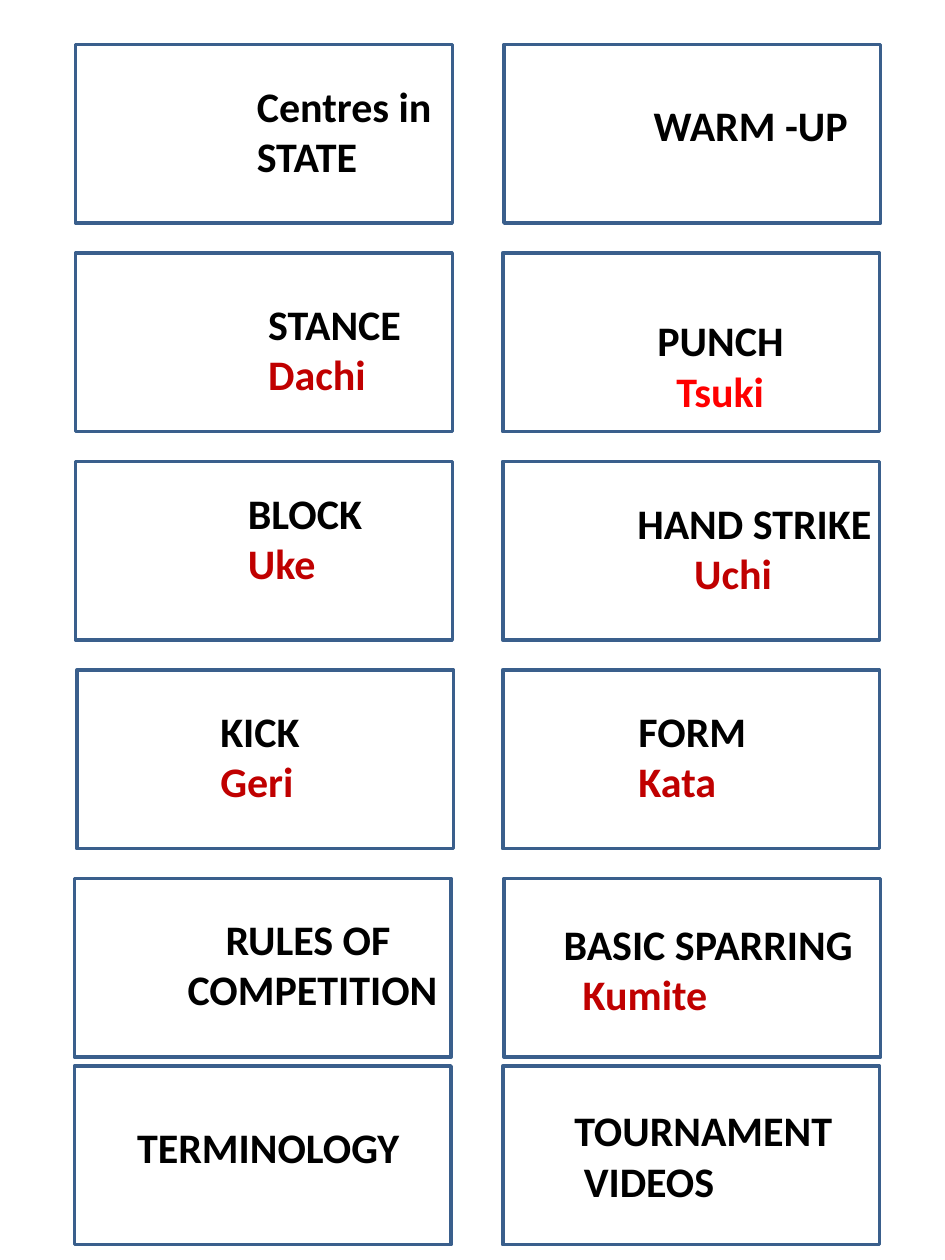
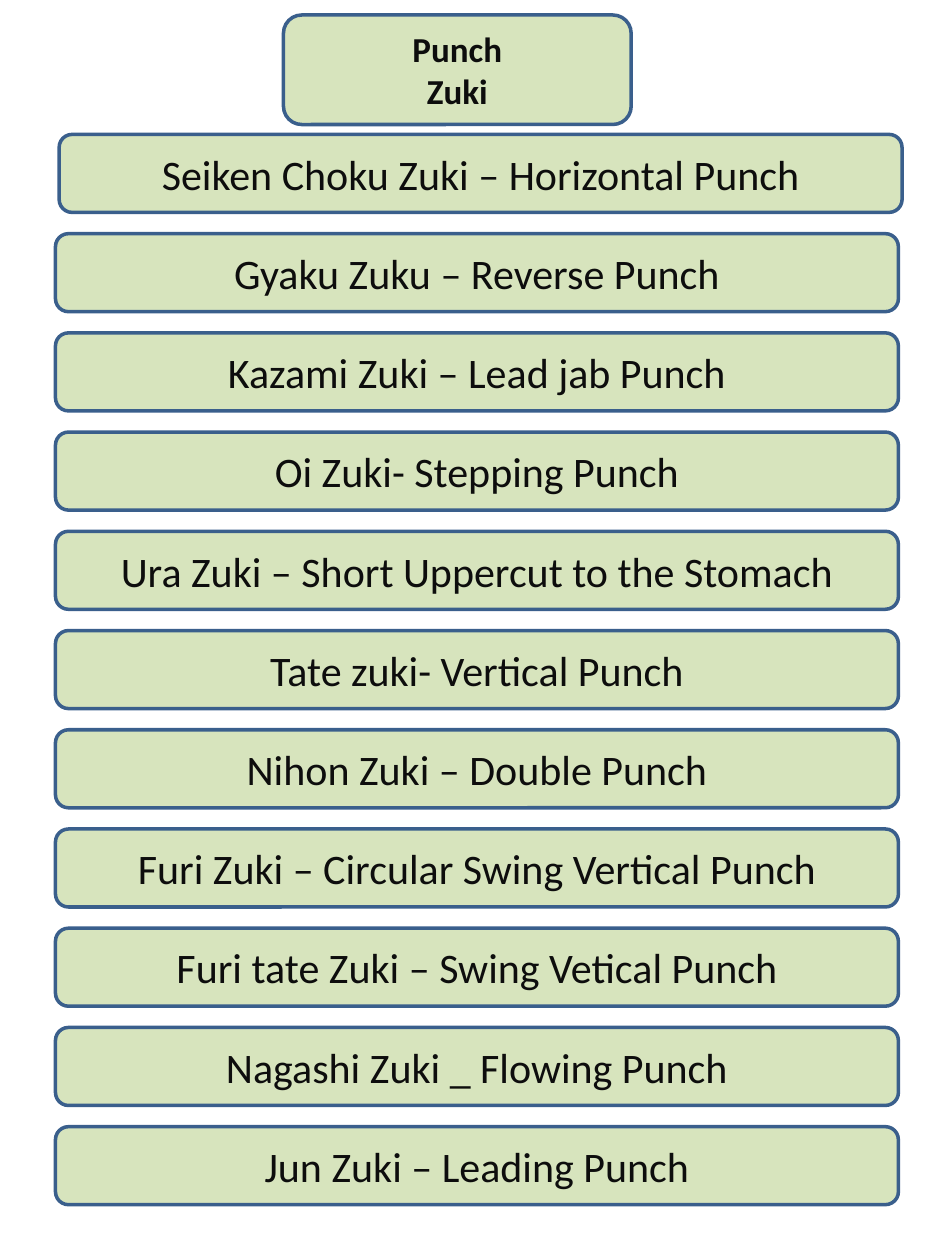
from pptx import Presentation
from pptx.dml.color import RGBColor
from pptx.enum import shapes, text
from pptx.util import Pt

FONT = "Calibri"
BLACK = RGBColor(0x00, 0x00, 0x00)
INK = RGBColor(0x0D, 0x0D, 0x0D)
CRIMSON = RGBColor(0xC0, 0x00, 0x00)
RED = RGBColor(0xFF, 0x00, 0x00)
OUTLINE = RGBColor(0x3A, 0x5F, 0x8C)
PALE_GREEN = RGBColor(0xD7, 0xE4, 0xBD)

# Menu rows, left card then right card:
# (card left, label left, label top, label width, lines of (text, indent, colour))
MENU = [
    [(43.2, 139.7, 42.5, 115.2, [("Centres in", 0, BLACK), ("STATE", 0, BLACK)]),
     (288, 366.5, 53.3, 126.7, [("WARM -UP", 0, BLACK)])],
    [(43.2, 146.2, 167, 91.4, [("STANCE", 0, BLACK), ("Dachi", 0, CRIMSON)]),
     (287.3, 368.6, 176.4, 87.1, [("PUNCH", 0, BLACK), ("Tsuki", 10.8, RED)])],
    [(43.2, 134.6, 275, 80.6, [("BLOCK", 0, BLACK), ("Uke", 0, CRIMSON)]),
     (287.3, 357.1, 280.8, 149.8, [("HAND STRIKE", 0, BLACK), ("Uchi", 32.5, CRIMSON)])],
    [(43.9, 118.8, 399.6, 60.5, [("KICK", 0, BLACK), ("Geri", 0, CRIMSON)]),
     (287.3, 357.8, 399.6, 77, [("FORM", 0, BLACK), ("Kata", 0, CRIMSON)])],
    [(42.5, 100.1, 518.4, 159.1, [("RULES OF", 21.7, BLACK), ("COMPETITION", 0, BLACK)]),
     (288, 309.6, 521.3, 186.5, [("BASIC SPARRING", 5.4, BLACK), ("Kumite", 16.3, CRIMSON)])],
    [(42.5, 71.3, 637.2, 165.6, [("TERMINOLOGY", 0, BLACK)]),
     (287.3, 321.1, 627.8, 163.4, [("TOURNAMENT", 0, BLACK), ("VIDEOS", 5.4, BLACK)])],
]
CARD_W, CARD_H = 215.3, 102.2
MENU_TOP, MENU_PITCH, LAST_ROW_TOP = 25.3, 119.15, 609.1
LINE_H, INSETS_H = 28.8, 7.2

PUNCH_TITLE = ["Punch", "Zuki"]
PUNCHES = [
    "Seiken Choku Zuki – Horizontal Punch",
    "Gyaku Zuku – Reverse Punch",
    "Kazami Zuki – Lead jab Punch",
    "Oi Zuki- Stepping Punch",
    "Ura Zuki – Short Uppercut to the Stomach",
    "Tate zuki- Vertical Punch",
    "Nihon Zuki – Double Punch",
    "Furi Zuki – Circular Swing Vertical Punch",
    "Furi tate Zuki – Swing Vetical Punch",
    "Nagashi Zuki _ Flowing Punch",
    "Jun Zuki – Leading Punch",
]
BAR_LEFT, FIRST_BAR_LEFT, BAR_W, BAR_H = 31.7, 33.8, 481.7, 44.6
BAR_TOP, BAR_PITCH = 76.8, 56.7


def add_box(slide, kind, left, top, width, height, fill=None):
    sp = slide.shapes.add_shape(kind, Pt(left), Pt(top), Pt(width), Pt(height))
    sp.shadow.inherit = False
    sp.line.color.rgb = OUTLINE
    sp.line.width = Pt(2)
    if fill is None:
        sp.fill.background()
    else:
        sp.fill.solid()
        sp.fill.fore_color.rgb = fill
    return sp


def add_lines(tf, lines, size, bold):
    """Write (text, indent, colour) lines, one paragraph each."""
    for i, (words, indent, color) in enumerate(lines):
        p = tf.add_paragraph() if i else tf.paragraphs[0]
        p.text = words
        p.font.name = FONT
        p.font.size = Pt(size)
        p.font.bold = bold
        p.font.color.rgb = color
        if indent:
            pPr = p._p.get_or_add_pPr()
            pPr.set("marL", str(Pt(indent)))
            pPr.set("indent", "0")


def add_label(slide, left, top, width, lines):
    height = LINE_H * len(lines) + INSETS_H
    tf = slide.shapes.add_textbox(Pt(left), Pt(top), Pt(width), Pt(height)).text_frame
    tf.word_wrap = False
    tf.auto_size = text.MSO_AUTO_SIZE.SHAPE_TO_FIT_TEXT
    add_lines(tf, lines, 24, True)


def add_bar(slide, left, top, width, height, lines, size=24, bold=False):
    sp = add_box(slide, shapes.MSO_SHAPE.ROUNDED_RECTANGLE,
                 left, top, width, height, PALE_GREEN)
    tf = sp.text_frame
    tf.word_wrap = True
    tf.vertical_anchor = text.MSO_ANCHOR.MIDDLE
    add_lines(tf, [(line, 0, INK) for line in lines], size, bold)
    for p in tf.paragraphs:
        p.alignment = text.PP_ALIGN.CENTER


def build_menu(slide):
    for i, row in enumerate(MENU):
        top = LAST_ROW_TOP if i == len(MENU) - 1 else MENU_TOP + i * MENU_PITCH
        for card_left, *label in row:
            add_box(slide, shapes.MSO_SHAPE.RECTANGLE, card_left, top, CARD_W, CARD_H)
            add_label(slide, *label)


def build_punches(slide):
    add_bar(slide, 162, 8.6, 198.7, 62.6, PUNCH_TITLE, size=20, bold=True)
    for i, punch in enumerate(PUNCHES):
        left = BAR_LEFT if i else FIRST_BAR_LEFT
        add_bar(slide, left, BAR_TOP + i * BAR_PITCH, BAR_W, BAR_H, [punch])


def main():
    prs = Presentation()
    prs.slide_width, prs.slide_height = Pt(540), Pt(720)
    for build in (build_menu, build_punches):
        build(prs.slides.add_slide(prs.slide_layouts[6]))
    prs.save("out.pptx")


if __name__ == "__main__":
    main()
